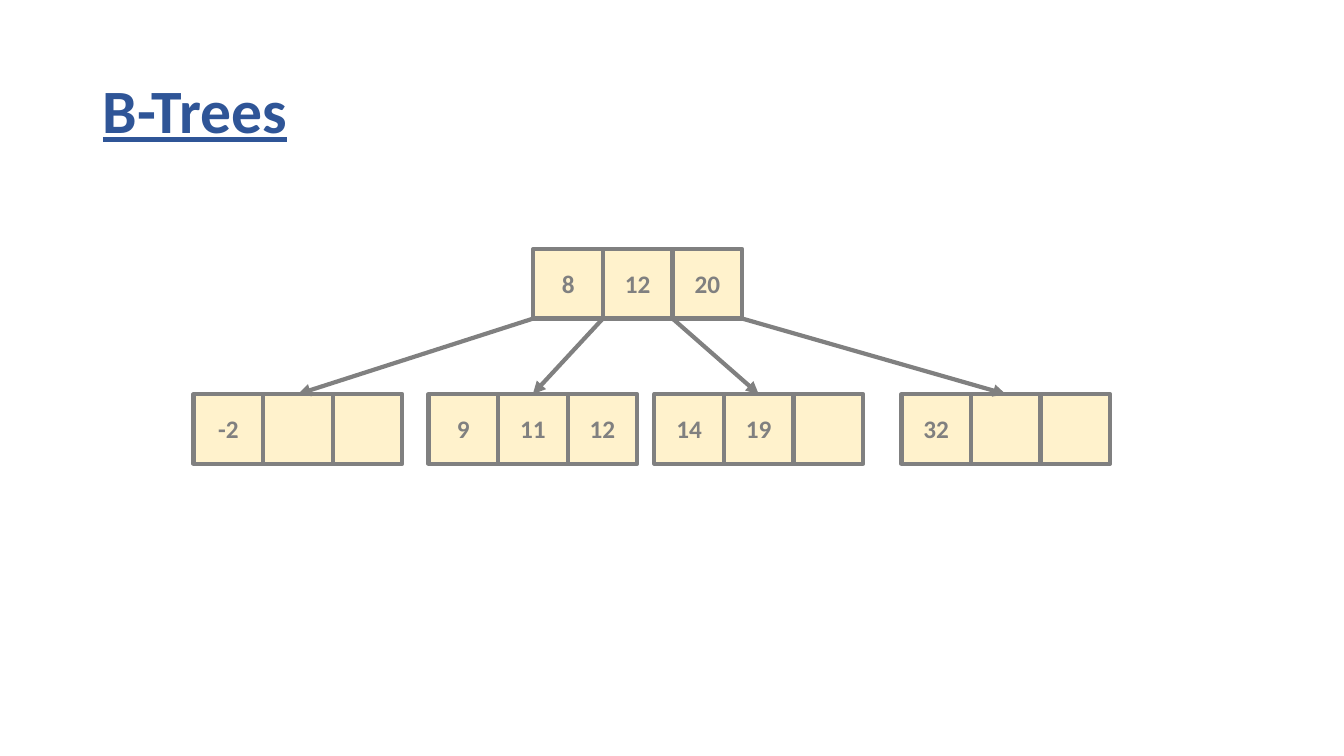
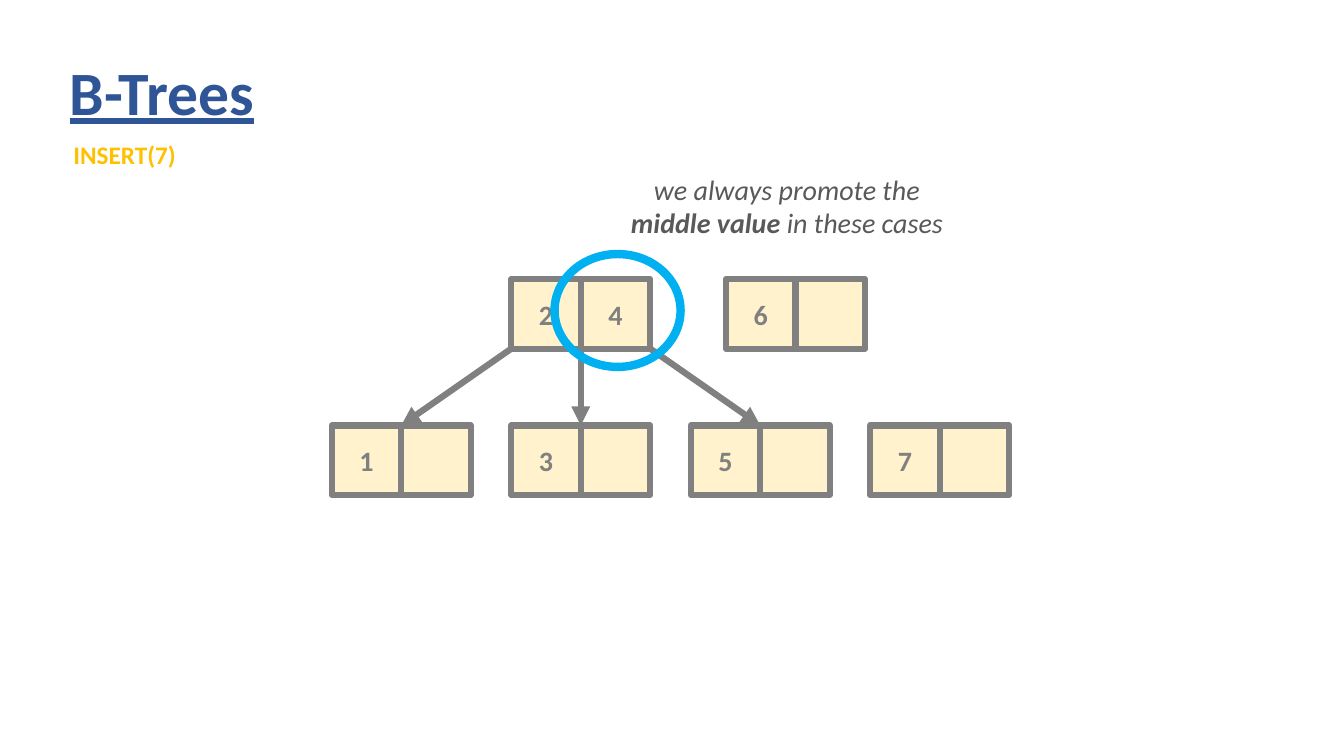
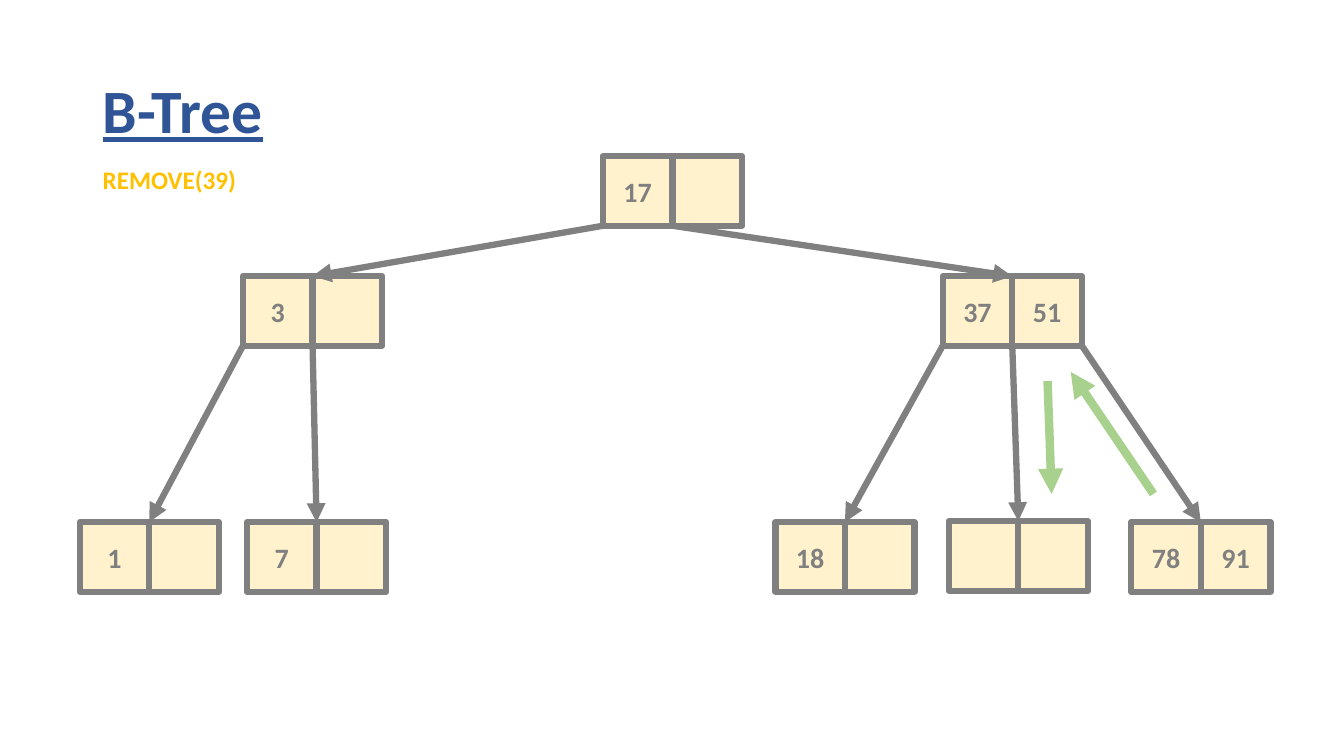
from lxml.etree import SubElement
from pptx import Presentation
from pptx.dml.color import RGBColor
from pptx.enum.shapes import MSO_CONNECTOR, MSO_SHAPE
from pptx.enum.text import MSO_ANCHOR, MSO_AUTO_SIZE, PP_ALIGN
from pptx.oxml.ns import qn
from pptx.util import Inches, Pt

FONT = "Calibri"
BLUE, GREY, CREAM, GOLD = "2F5597", "808080", "FFF2CC", "FFC000"
SKY, GREEN, DARK = "00B0F0", "A9D18E", "595959"
CELL = 0.69
LEAF_STEP = 1.78

# A node is (left, top, keys); an edge is (parent, pointer slot, child).
SLIDES = [
    {
        "title": ("B-Trees", 0.92, 0.4),
        "key_size": 18,
        "line_width": 3,
        "nodes": {
            "root": (5.29, 2.47, ["8", "12", "20"]),
            "below 8": (1.92, 3.91, ["-2", "", ""]),
            "8 to 12": (4.25, 3.91, ["9", "11", "12"]),
            "12 to 20": (6.49, 3.91, ["14", "19", ""]),
            "above 20": (8.94, 3.91, ["32", "", ""]),
        },
        "edges": [("root", 0, "below 8"), ("root", 1, "8 to 12"),
                  ("root", 2, "12 to 20"), ("root", 3, "above 20")],
    },
    {
        "title": ("B-Trees", 0.59, 0.22),
        "operation": ("INSERT(7)", 0.63, 1.33, 1.23),
        "key_size": 20,
        "line_width": 4.5,
        "nodes": {
            "root": (5.07, 2.77, ["2", "4"]),
            "split": (7.2, 2.77, ["6", ""]),
            **{key: (3.29 + i * LEAF_STEP, 4.22, [key, ""])
               for i, key in enumerate("1357")},
        },
        "edges": [("root", 0, "1"), ("root", 1, "3"), ("root", 2, "5")],
        "highlight": (5.5, 2.52, 1.25, 1.12),
        "remark": [[("we always promote the", False)],
                   [("middle value ", True), ("in these cases", False)]],
    },
    {
        "title": ("B-Tree", 0.92, 0.4),
        "operation": ("REMOVE(39)", 0.92, 1.58, 1.54),
        "key_size": 20,
        "line_width": 4.5,
        "nodes": {
            "root": (5.98, 1.55, ["17", ""]),
            "left": (2.41, 2.74, ["3", ""]),
            "right": (9.35, 2.74, ["37", "51"]),
            "1": (0.79, 5.18, ["1", ""]),
            "7": (2.45, 5.18, ["7", ""]),
            "18": (7.69, 5.18, ["18", ""]),
            "emptied": (9.41, 5.17, ["", ""]),
            "78": (11.22, 5.18, ["78", "91"]),
        },
        "edges": [("root", 0, "left"), ("root", 1, "right"),
                  ("left", 0, "1"), ("left", 1, "7"),
                  ("right", 0, "18"), ("right", 1, "emptied"),
                  ("right", 2, "78")],
        "moves": [((11.44, 4.9), (10.62, 3.69)), ((10.39, 3.78), (10.43, 4.9))],
    },
]


def rgb(value):
    return RGBColor.from_string(value)


def style_font(font, size, color, bold=False, italic=False):
    font.name, font.size = FONT, Pt(size)
    font.bold, font.italic = bold, italic
    font.color.rgb = rgb(color)


def add_title(slide, text, left, top):
    title = slide.shapes.title
    title.left, title.top = Inches(left), Inches(top)
    title.width, title.height = Inches(11.5), Inches(1.45)
    frame = title.text_frame
    frame.text = text
    frame.auto_size = MSO_AUTO_SIZE.NONE
    frame.vertical_anchor = MSO_ANCHOR.MIDDLE
    paragraph = frame.paragraphs[0]
    paragraph.alignment = PP_ALIGN.LEFT
    paragraph.line_spacing = 0.9
    font = paragraph.runs[0].font
    style_font(font, 44, BLUE, bold=True)
    font.underline = True


def add_label(slide, left, top, width, height):
    """Add an unwrapped text box and return its text frame."""
    frame = slide.shapes.add_textbox(
        Inches(left), Inches(top), Inches(width), Inches(height)).text_frame
    frame.word_wrap = False
    frame.auto_size = MSO_AUTO_SIZE.SHAPE_TO_FIT_TEXT
    return frame


def add_operation(slide, text, left, top, width):
    frame = add_label(slide, left, top, width, 0.4)
    frame.text = text
    style_font(frame.paragraphs[0].runs[0].font, 18, GOLD, bold=True)


def add_remark(slide, lines):
    frame = add_label(slide, 6.13, 1.66, 3.35, 0.77)
    for i, pieces in enumerate(lines):
        paragraph = frame.add_paragraph() if i else frame.paragraphs[0]
        paragraph.alignment = PP_ALIGN.CENTER
        for text, bold in pieces:
            run = paragraph.add_run()
            run.text = text
            style_font(run.font, 20, DARK, bold, italic=True)


def add_outlined(slide, preset, left, top, width, height, color, line_width):
    shape = slide.shapes.add_shape(
        preset, Inches(left), Inches(top), Inches(width), Inches(height))
    shape.shadow.inherit = False
    shape.line.color.rgb = rgb(color)
    shape.line.width = Pt(line_width)
    return shape


def add_node(slide, left, top, keys, key_size, line_width):
    for i, key in enumerate(keys):
        cell = add_outlined(slide, MSO_SHAPE.RECTANGLE, left + i * CELL, top,
                            CELL, CELL, GREY, line_width)
        cell.fill.solid()
        cell.fill.fore_color.rgb = rgb(CREAM)
        if key:
            frame = cell.text_frame
            frame.text = key
            frame.vertical_anchor = MSO_ANCHOR.MIDDLE
            frame.paragraphs[0].alignment = PP_ALIGN.CENTER
            style_font(frame.paragraphs[0].runs[0].font, key_size, GREY, bold=True)


def add_arrow(slide, start, end, color, line_width):
    arrow = slide.shapes.add_connector(
        MSO_CONNECTOR.STRAIGHT, *(Inches(v) for v in (*start, *end)))
    arrow.line.color.rgb = rgb(color)
    arrow.line.width = Pt(line_width)
    properties = arrow._element.spPr
    SubElement(properties.find(qn("a:ln")), qn("a:tailEnd"), type="triangle")
    SubElement(properties, qn("a:effectLst"))


def add_edge(slide, parent, slot, child, line_width):
    """Point from a slot under the parent to the middle of the child's top."""
    left, top, _ = parent
    child_left, child_top, child_keys = child
    add_arrow(slide, (left + slot * CELL, top + CELL),
              (child_left + len(child_keys) * CELL / 2, child_top),
              GREY, line_width)


def build_slide(deck, content):
    slide = deck.slides.add_slide(deck.slide_layouts.get_by_name("Title Only"))
    add_title(slide, *content["title"])
    if "operation" in content:
        add_operation(slide, *content["operation"])
    nodes, line_width = content["nodes"], content["line_width"]
    for node in nodes.values():
        add_node(slide, *node, content["key_size"], line_width)
    for parent, slot, child in content["edges"]:
        add_edge(slide, nodes[parent], slot, nodes[child], line_width)
    for start, end in content.get("moves", []):
        add_arrow(slide, start, end, GREEN, 6)
    if "highlight" in content:
        ring = add_outlined(slide, MSO_SHAPE.OVAL, *content["highlight"], SKY, 6)
        ring.fill.background()
    if "remark" in content:
        add_remark(slide, content["remark"])


def main():
    deck = Presentation()
    deck.slide_width, deck.slide_height = Inches(13.33), Inches(7.5)
    for content in SLIDES:
        build_slide(deck, content)
    deck.save("out.pptx")


if __name__ == "__main__":
    main()
